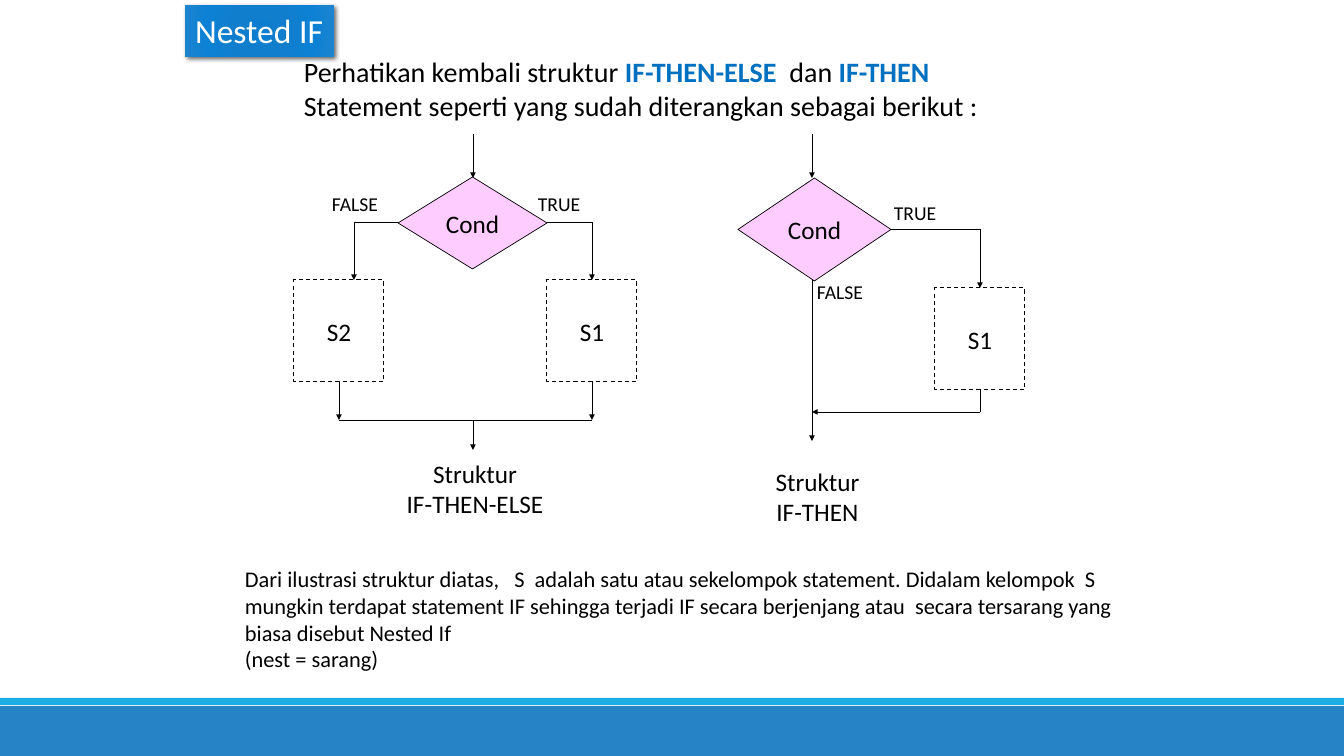
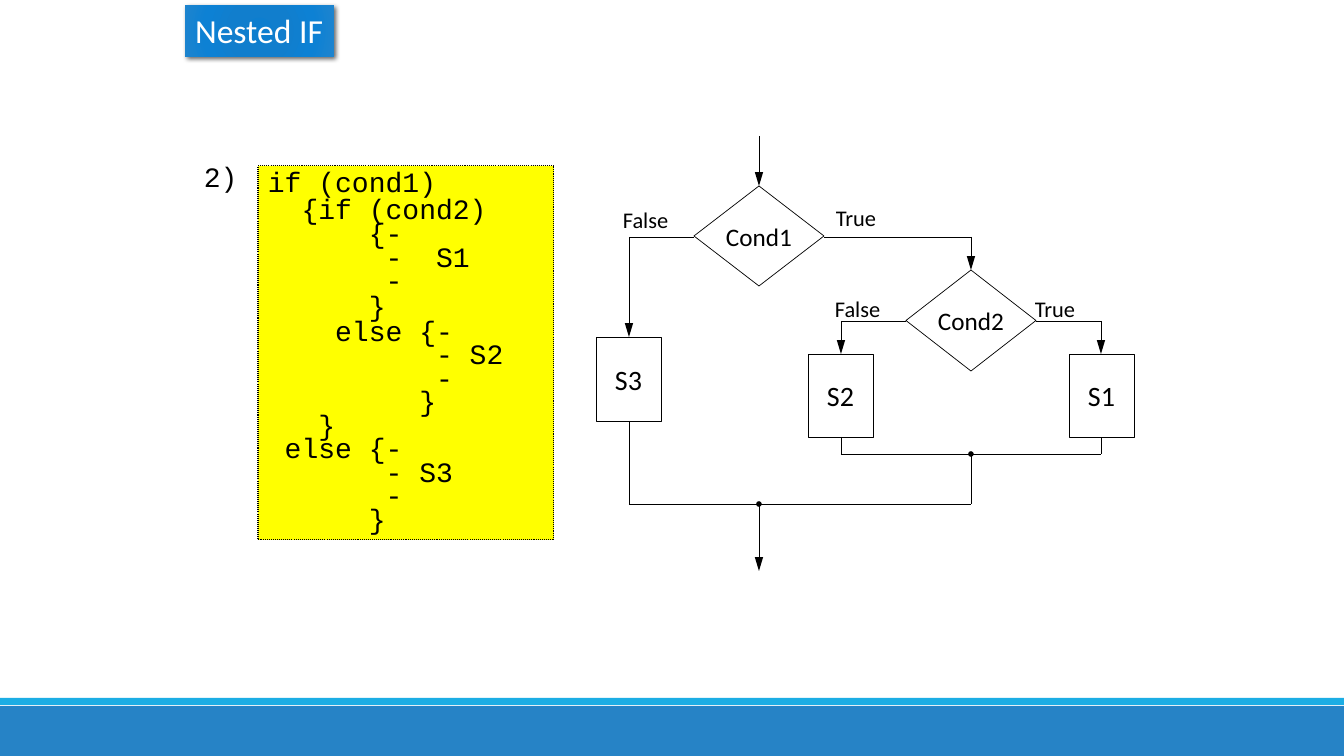
from itertools import pairwise

from lxml.etree import SubElement
from pptx import Presentation
from pptx.dml.color import RGBColor
from pptx.enum.dml import MSO_LINE
from pptx.enum.shapes import MSO_CONNECTOR, MSO_SHAPE
from pptx.enum.text import MSO_ANCHOR, MSO_AUTO_SIZE, PP_ALIGN
from pptx.oxml import parse_xml
from pptx.oxml.ns import nsdecls, qn
from pptx.util import Emu, Pt

EMU_PER_PX = 914400 / 100.8
BLACK, WHITE, PINK, YELLOW, BLUE = "000000", "FFFFFF", "FFCCFF", "FFFF00", "0070C0"
BODY_FONT, CODE_FONT = "Calibri", "Courier New"
SLIDE_SIZE = (1344, 756)
BANDS = [((0, 706, 1344, 50), "2683C6"), ((0, 698, 1344, 7), "1CADE4")]

TITLE = "Nested IF"
TITLE_BOX = (185, 5, 149, 52)
TITLE_STOPS = [(0, "0D7ECF"), (34, "117ECD"), (70, "0D81D4"), (100, "1E84CE")]

DECISION, BOX = MSO_SHAPE.FLOWCHART_DECISION, MSO_SHAPE.RECTANGLE
LEFT, CENTER = PP_ALIGN.LEFT, PP_ALIGN.CENTER
ARROW, DOT = "triangle", "oval"

# Texts: box, paragraphs, size, alignment, wrap.
# A paragraph is a string or a list of (words, highlighted).
INTRO = [
    ("Perhatikan kembali struktur ", False),
    ("IF-THEN-ELSE  ", True),
    ("dan ", False),
    ("IF-THEN", True),
    (" Statement seperti yang sudah diterangkan sebagai berikut :", False),
]
NOTE = [
    "Dari ilustrasi struktur diatas,   S  adalah satu atau sekelompok statement. "
    "Didalam kelompok  S mungkin terdapat statement IF sehingga terjadi IF secara "
    "berjenjang atau  secara tersarang yang biasa disebut Nested If",
    "(nest = sarang)",
]

# Nodes: shape kind, box, label. Paths: points, start mark, end mark.
STRUCTURES = {
    "texts": [
        ((294, 50, 764, 78), [INTRO], 20, LEFT, True),
        ((528, 187, 64, 34), ["TRUE"], 14, LEFT, False),
        ((322, 187, 67, 34), ["FALSE"], 14, LEFT, False),
        ((884, 196, 64, 34), ["TRUE"], 14, LEFT, False),
        ((807, 275, 67, 34), ["FALSE"], 14, LEFT, False),
        ((396, 453, 158, 72), ["Struktur", "IF-THEN-ELSE"], 18, CENTER, False),
        ((765, 461, 105, 72), ["Struktur", "IF-THEN"], 18, CENTER, False),
        ((235, 560, 890, 118), NOTE, 16, LEFT, True),
    ],
    "nodes": [
        (DECISION, (398, 177, 149, 92), "Cond"),
        (BOX, (547, 280, 90, 102), "S1"),
        (BOX, (294, 280, 90, 102), "S2"),
        (DECISION, (738, 178, 153, 103), "Cond"),
        (BOX, (935, 288, 90, 102), "S1"),
    ],
    "paths": [
        ([(473, 134), (473, 178)], None, ARROW),
        ([(547, 222), (592, 222), (592, 280)], None, ARROW),
        ([(398, 222), (354, 222), (354, 280)], None, ARROW),
        ([(339, 382), (339, 420)], None, ARROW),
        ([(592, 382), (592, 420)], None, ARROW),
        ([(339, 420), (592, 420)], None, None),
        ([(473, 420), (473, 450)], None, ARROW),
        ([(812, 134), (812, 178)], None, ARROW),
        ([(891, 229), (980, 229), (980, 288)], None, ARROW),
        ([(812, 280), (812, 441)], None, ARROW),
        ([(980, 390), (980, 412), (812, 412)], None, ARROW),
    ],
    "style": {
        DECISION: {"fill": PINK, "size": 18, "line": {"width": Pt(0.5)}},
        BOX: {"fill": None, "size": 18,
              "line": {"width": Pt(0.75), "dash_style": MSO_LINE.DASH}},
        "arrow": ("sm", "sm"),
    },
}

NESTED = {
    "texts": [
        ((826, 199, 62, 37), ["True"], 16, LEFT, False),
        ((613, 201, 67, 37), ["False"], 16, LEFT, False),
        ((1025, 290, 62, 37), ["True"], 16, LEFT, False),
        ((825, 290, 67, 37), ["False"], 16, LEFT, False),
    ],
    "nodes": [
        (DECISION, (694, 186, 130, 100), "Cond1"),
        (DECISION, (906, 270, 130, 101), "Cond2"),
        (BOX, (596, 337, 65, 84), "S3"),
        (BOX, (808, 354, 65, 83), "S2"),
        (BOX, (1069, 354, 65, 83), "S1"),
    ],
    "paths": [
        ([(759, 136), (759, 186)], None, ARROW),
        ([(824, 237), (971, 237), (971, 270)], None, ARROW),
        ([(694, 237), (629, 237), (629, 337)], None, ARROW),
        ([(1036, 321), (1101, 321), (1101, 354)], None, ARROW),
        ([(906, 321), (841, 321), (841, 354)], None, ARROW),
        ([(629, 421), (629, 504), (971, 504)], None, None),
        ([(841, 437), (841, 454), (1101, 454), (1101, 437)], None, None),
        ([(971, 454), (971, 504)], DOT, None),
        ([(759, 504), (759, 571)], DOT, ARROW),
    ],
    "style": {
        DECISION: {"fill": None, "size": 18, "line": {"width": Pt(0.5)}},
        BOX: {"fill": None, "size": 20, "line": {"width": Pt(0.5)}},
        "arrow": ("med", "lg"),
    },
}

NUMBER_BOX, CODE_BOX = (194, 155, 94, 43), (258, 166, 296, 374)
CODE = [
    ("if (cond1)", 0.8),
    ("  {if (cond2)", 0.8),
    ("      {-", 0.7),
    ("       -  S1", 0.7),
    ("       -", 0.7),
    ("      }", 0.8),
    ("    else {-", 0.7),
    ("          - S2", 0.7),
    ("          -", 0.7),
    ("         }", 0.7),
    ("   }", 0.7),
    (" else {-", 0.7),
    ("       - S3", 0.7),
    ("       -", 0.7),
    ("      }", 0.7),
]


def px(length):
    return Emu(round(length * EMU_PER_PX))


def place(box):
    return [px(length) for length in box]


def color(value):
    return RGBColor.from_string(value)


def apply(target, values):
    for name, value in values.items():
        setattr(target, name, value)


def write(shape, paragraphs, size, align=LEFT, wrap=False, anchor=MSO_ANCHOR.TOP,
          font=BODY_FONT, text_color=BLACK):
    frame = shape.text_frame
    apply(frame, {"auto_size": MSO_AUTO_SIZE.NONE, "word_wrap": wrap,
                  "vertical_anchor": anchor})
    for index, content in enumerate(paragraphs):
        paragraph = frame.add_paragraph() if index else frame.paragraphs[0]
        paragraph.alignment = align
        runs = [(content, False)] if isinstance(content, str) else content
        for words, highlighted in runs:
            run = paragraph.add_run()
            run.text = words
            apply(run.font, {"name": font, "size": Pt(size), "bold": highlighted})
            run.font.color.rgb = color(BLUE if highlighted else text_color)


def add_text(slide, box, paragraphs, size, align=LEFT, wrap=True, font=BODY_FONT):
    write(slide.shapes.add_textbox(*place(box)), paragraphs, size, align, wrap, font=font)


def add_box(slide, kind, box, fill=None, line=None):
    shape = slide.shapes.add_shape(kind, *place(box))
    shape.shadow.inherit = False
    if fill:
        shape.fill.solid()
        shape.fill.fore_color.rgb = color(fill)
    else:
        shape.fill.background()
    if line:
        shape.line.color.rgb = color(BLACK)
        apply(shape.line, line)
    else:
        shape.line.fill.background()
    return shape


def add_path(slide, points, start_mark, end_mark, arrow):
    """Join the points with straight lines, marked at the two outer ends."""
    for start, end in pairwise(points):
        connector = slide.shapes.add_connector(
            MSO_CONNECTOR.STRAIGHT, *place(start), *place(end))
        connector.line.color.rgb = color(BLACK)
        connector.line.width = Pt(0.5)
        outline = connector.line._get_or_add_ln()
        marks = [("a:headEnd", start_mark if start == points[0] else None),
                 ("a:tailEnd", end_mark if end == points[-1] else None)]
        for tag, mark in marks:
            if mark:
                width, length = arrow if mark == ARROW else ("sm", "sm")
                SubElement(outline, qn(tag), type=mark, w=width, len=length)
        SubElement(connector._element.spPr, qn("a:effectLst"))


def add_bands(slide):
    """Draw the bottom bands and hand them to the master, behind everything."""
    master_tree = slide.slide_layout.slide_master.shapes._spTree
    for box, fill in BANDS:
        master_tree.insert(2, add_box(slide, BOX, box, fill)._element)


def format_title(title):
    apply(title, dict(zip(("left", "top", "width", "height"), place(TITLE_BOX))))
    write(title, [TITLE], 24, text_color=WHITE)
    stops = "".join(f'<a:gs pos="{position * 1000}"><a:srgbClr val="{value}"/></a:gs>'
                    for position, value in TITLE_STOPS)
    properties = title._element.spPr
    for xml in (
        f'<a:prstGeom {nsdecls("a")} prst="rect"><a:avLst/></a:prstGeom>',
        f'<a:gradFill {nsdecls("a")}><a:gsLst>{stops}</a:gsLst><a:path path="circle">'
        '<a:fillToRect l="100000" t="100000" r="100000" b="100000"/></a:path></a:gradFill>',
        f'<a:effectLst {nsdecls("a")}><a:outerShdw blurRad="{Pt(3.5)}" dist="{Pt(2)}" '
        f'dir="2700000"><a:srgbClr val="{BLACK}"><a:alpha val="60000"/></a:srgbClr>'
        '</a:outerShdw></a:effectLst>',
    ):
        properties.append(parse_xml(xml))


def add_flowchart_slide(presentation, content):
    slide = presentation.slides.add_slide(presentation.slide_layouts[5])
    format_title(slide.shapes.title)
    style = content["style"]
    for points, start_mark, end_mark in content["paths"]:
        add_path(slide, points, start_mark, end_mark, style["arrow"])
    for kind, box, label in content["nodes"]:
        look = style[kind]
        node = add_box(slide, kind, box, look["fill"], look["line"])
        write(node, [label], look["size"], CENTER, anchor=MSO_ANCHOR.MIDDLE)
    for text in content["texts"]:
        add_text(slide, *text)
    return slide


def add_code(slide):
    add_text(slide, NUMBER_BOX, ["2)"], 20, font=CODE_FONT)
    panel = add_box(slide, BOX, CODE_BOX, YELLOW,
                    {"width": Pt(0.75), "dash_style": MSO_LINE.ROUND_DOT})
    write(panel, [line for line, _ in CODE], 20, wrap=True, font=CODE_FONT)
    for paragraph, (_, spacing) in zip(panel.text_frame.paragraphs, CODE):
        paragraph.line_spacing = spacing


def main():
    presentation = Presentation()
    width, height = place(SLIDE_SIZE)
    apply(presentation, {"slide_width": width, "slide_height": height})
    add_bands(add_flowchart_slide(presentation, STRUCTURES))
    add_code(add_flowchart_slide(presentation, NESTED))
    presentation.save("out.pptx")


if __name__ == "__main__":
    main()
